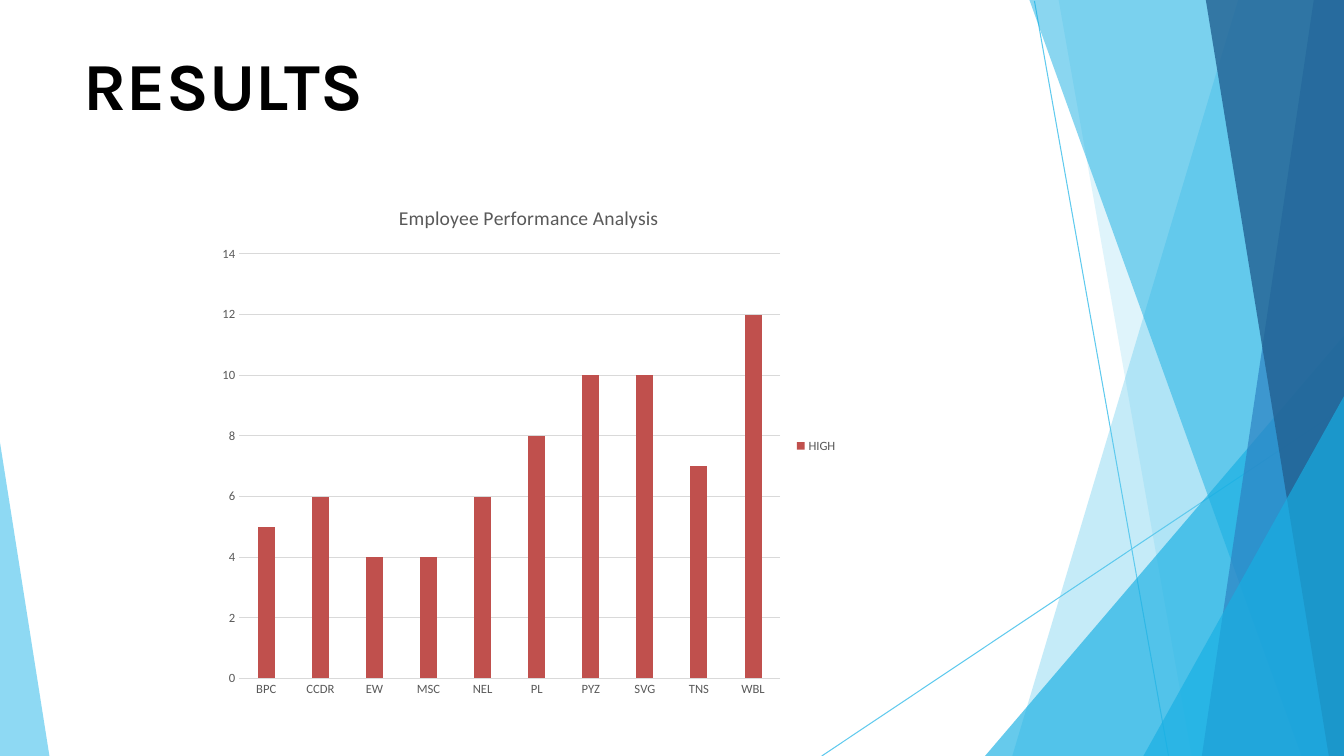
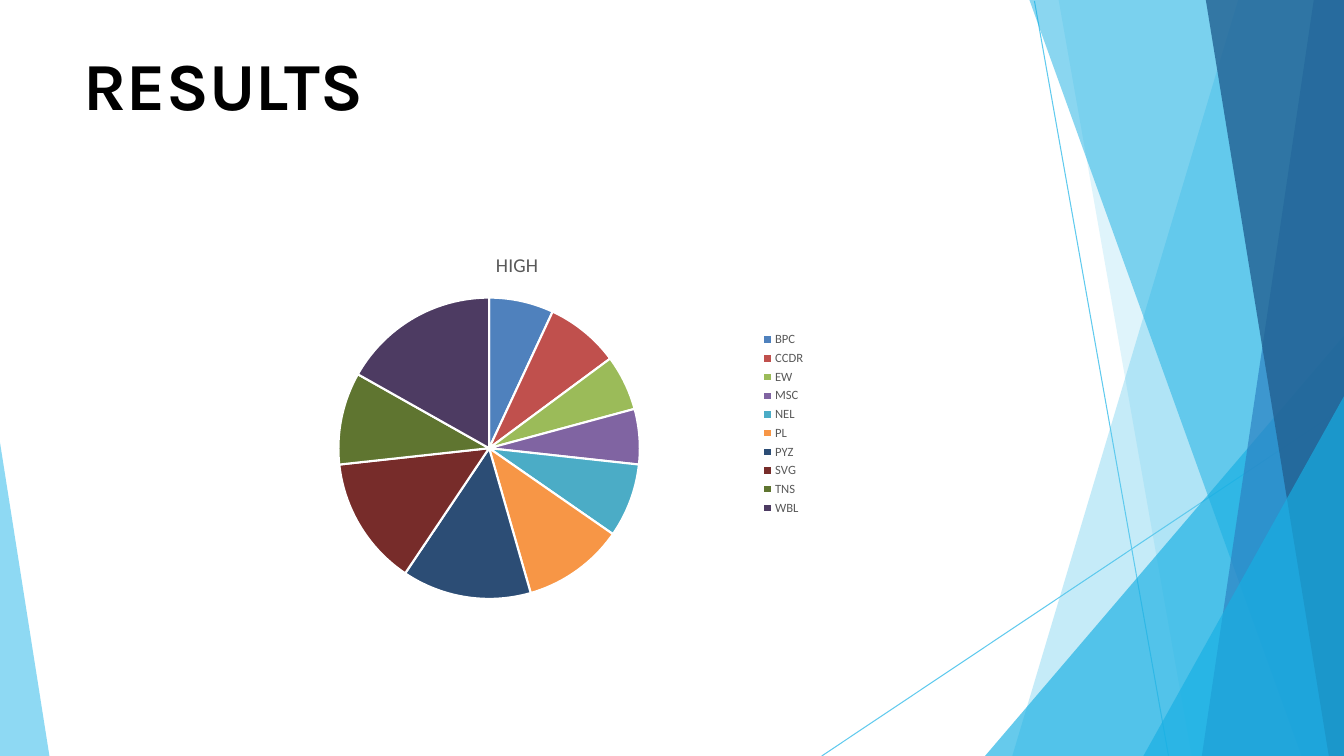
from dataclasses import dataclass

from lxml import etree
from pptx import Presentation
from pptx.chart.chart import Chart
from pptx.chart.data import CategoryChartData
from pptx.dml.color import RGBColor
from pptx.enum.chart import XL_CHART_TYPE, XL_LEGEND_POSITION, XL_TICK_MARK
from pptx.enum.shapes import MSO_CONNECTOR
from pptx.enum.text import MSO_ANCHOR
from pptx.oxml.ns import qn
from pptx.slide import Slide
from pptx.text.text import Font
from pptx.util import Inches, Pt

COLUMN = XL_CHART_TYPE.COLUMN_CLUSTERED
PIE = XL_CHART_TYPE.PIE
LEGEND_RIGHT = XL_LEGEND_POSITION.RIGHT
NO_TICK = XL_TICK_MARK.NONE
STRAIGHT = MSO_CONNECTOR.STRAIGHT
MIDDLE = MSO_ANCHOR.MIDDLE

WIDTH, HEIGHT = 13.33, 7.5
BLACK, WHITE, GREY, PALE_GREY = "000000", "FFFFFF", "595959", "D9D9D9"
SKY, CYAN, BLUE, NAVY = "5FCAEE", "17AFE3", "2D83C3", "226192"
TITLE_FONT, CHART_FONT = "Karla", "Calibri"

CATEGORIES = ["BPC", "CCDR", "EW", "MSC", "NEL", "PL", "PYZ", "SVG", "TNS", "WBL"]
COLUMN_COLOUR = "C0504D"
SLICE_COLOURS = [
    "4F81BD", "C0504D", "9BBB59", "8064A2", "4BACC6",
    "F79646", "2C4D75", "772C2A", "5F7530", "4D3B62",
]


@dataclass(frozen=True)
class Ray:
    start: tuple[float, float]
    end: tuple[float, float]


@dataclass(frozen=True)
class Facet:
    points: list[tuple[float, float]]
    colour: str
    opacity: int


@dataclass(frozen=True)
class ChartPanel:
    kind: XL_CHART_TYPE
    title: str
    values: list[int]
    left: float
    top: float
    width: float
    height: float


def right_facet(top_x: float, bottom_x: float, colour: str, opacity: int) -> Facet:
    points = [(WIDTH, 0), (top_x, 0), (bottom_x, HEIGHT), (WIDTH, HEIGHT)]
    return Facet(points, colour, opacity)


def corner_facet(edge_x: float, top: float, bottom_x: float, colour: str, opacity: int) -> Facet:
    return Facet([(edge_x, top), (bottom_x, HEIGHT), (edge_x, HEIGHT)], colour, opacity)


RAYS = [Ray((10.26, 0.01), (11.59, HEIGHT)), Ray((WIDTH, 4.04), (8.15, HEIGHT))]
FACETS = [
    right_facet(12.28, 10.04, SKY, 36),
    right_facet(10.5, 11.82, SKY, 20),
    corner_facet(WIDTH, 3.33, 9.77, CYAN, 66),
    right_facet(10.21, 12.91, CYAN, 50),
    right_facet(13.03, 11.92, BLUE, 70),
    right_facet(11.96, 13.18, NAVY, 80),
    corner_facet(WIDTH, 3.93, 11.34, CYAN, 66),
    corner_facet(0, 4.39, 0.49, SKY, 70),
]
PANELS = [
    ChartPanel(COLUMN, "Employee Performance Analysis",
               [5, 6, 4, 4, 6, 8, 10, 10, 7, 12], 2.08, 1.83, 6.33, 5.19),
    ChartPanel(PIE, "HIGH",
               [7, 8, 6, 6, 8, 11, 14, 14, 10, 17], 2.17, 2.33, 5.92, 3.75),
]


def rgb(colour: str) -> RGBColor:
    return RGBColor.from_string(colour)


def style_font(font: Font, name: str, size: float, colour: str, bold: bool = False) -> None:
    font.name = name
    font.size = Pt(size)
    font.bold = bold
    font.color.rgb = rgb(colour)


def add_ray(slide: Slide, ray: Ray) -> None:
    connector = slide.shapes.add_connector(
        STRAIGHT, *(Inches(value) for value in (*ray.start, *ray.end)))
    connector.line.color.rgb = rgb(SKY)
    connector.line.width = Pt(0.75)
    etree.SubElement(connector._element.spPr, qn("a:effectLst"))


def add_facet(slide: Slide, facet: Facet) -> None:
    first, *others = [(Inches(x), Inches(y)) for x, y in facet.points]
    builder = slide.shapes.build_freeform(*first)
    builder.add_line_segments(others, close=True)
    shape = builder.convert_to_shape()
    shape.shadow.inherit = False
    shape.line.fill.background()
    shape.fill.solid()
    shape.fill.fore_color.rgb = rgb(facet.colour)
    colour = shape._element.spPr.find(f"{qn('a:solidFill')}/{qn('a:srgbClr')}")
    etree.SubElement(colour, qn("a:alpha"), val=str(facet.opacity * 1000))


def add_title(slide: Slide, text: str) -> None:
    shape = slide.shapes.add_textbox(Inches(0.83), Inches(0.42), Inches(11.68), Inches(0.83))
    frame = shape.text_frame
    frame.word_wrap = True
    frame.vertical_anchor = MIDDLE
    frame.margin_left = frame.margin_right = frame.margin_top = frame.margin_bottom = 0
    frame.text = text
    style_font(frame.paragraphs[0].runs[0].font, TITLE_FONT, 48, BLACK, bold=True)


def style_columns(chart: Chart) -> None:
    plot = chart.plots[0]
    plot.gap_width = 219
    plot.overlap = -27
    fill = plot.series[0].format.fill
    fill.solid()
    fill.fore_color.rgb = rgb(COLUMN_COLOUR)
    for axis in (chart.category_axis, chart.value_axis):
        axis.major_tick_mark = axis.minor_tick_mark = NO_TICK
        style_font(axis.tick_labels.font, CHART_FONT, 9, GREY)
    chart.value_axis.format.line.fill.background()
    for line in (chart.category_axis.format.line, chart.value_axis.major_gridlines.format.line):
        line.color.rgb = rgb(PALE_GREY)
        line.width = Pt(0.75)


def style_slices(chart: Chart) -> None:
    series = chart.plots[0].series[0]
    for index, colour in enumerate(SLICE_COLOURS):
        slice_format = series.points[index].format
        slice_format.fill.solid()
        slice_format.fill.fore_color.rgb = rgb(colour)
        slice_format.line.color.rgb = rgb(WHITE)
        slice_format.line.width = Pt(1.5)


def add_chart_panel(slide: Slide, panel: ChartPanel) -> None:
    data = CategoryChartData()
    data.categories = CATEGORIES
    data.add_series("HIGH", panel.values)
    chart = slide.shapes.add_chart(
        panel.kind, Inches(panel.left), Inches(panel.top),
        Inches(panel.width), Inches(panel.height), data).chart
    style_font(chart.font, CHART_FONT, 10, BLACK)
    chart.has_title = True
    title_frame = chart.chart_title.text_frame
    title_frame.text = panel.title
    style_font(title_frame.paragraphs[0].runs[0].font, CHART_FONT, 14, GREY)
    chart.chart_title.include_in_layout = False
    chart.has_legend = True
    chart.legend.position = LEGEND_RIGHT
    chart.legend.include_in_layout = False
    style_font(chart.legend.font, CHART_FONT, 9, GREY)
    chart.plots[0].vary_by_categories = panel.kind == PIE
    if panel.kind == PIE:
        style_slices(chart)
    else:
        style_columns(chart)


def add_results_slide(presentation: Presentation, panel: ChartPanel) -> None:
    slide = presentation.slides.add_slide(presentation.slide_layouts[6])
    for ray in RAYS:
        add_ray(slide, ray)
    for facet in FACETS:
        add_facet(slide, facet)
    add_title(slide, "RESULTS")
    add_chart_panel(slide, panel)


def main() -> None:
    """Build the two results slides and save them."""
    presentation = Presentation()
    presentation.slide_width = Inches(WIDTH)
    presentation.slide_height = Inches(HEIGHT)
    for panel in PANELS:
        add_results_slide(presentation, panel)
    presentation.save("out.pptx")


if __name__ == "__main__":
    main()
